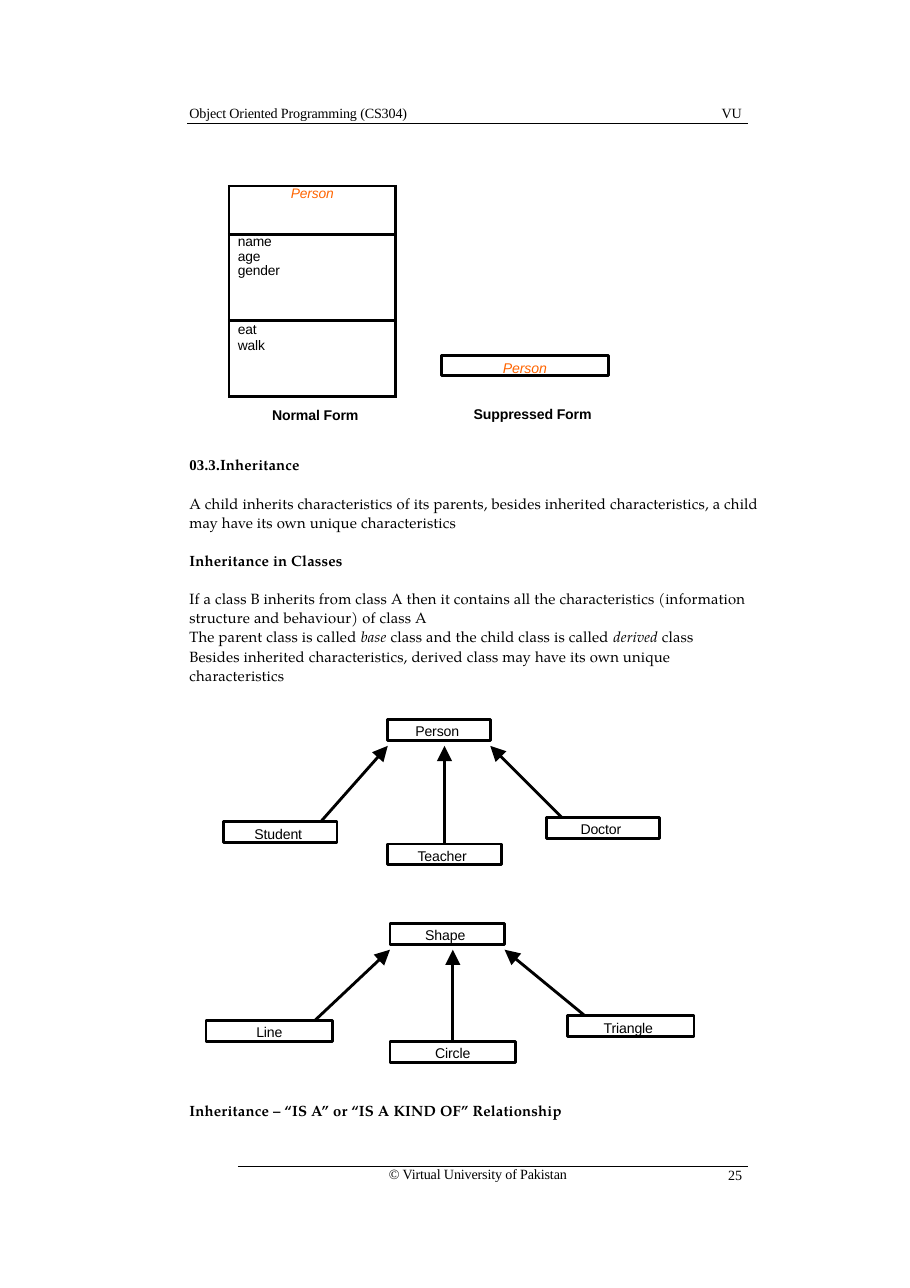
"""Build a handout page on class notation and inheritance."""
from lxml import etree
from pptx import Presentation
from pptx.dml.color import RGBColor
from pptx.enum.shapes import MSO_CONNECTOR, MSO_SHAPE
from pptx.enum.text import MSO_ANCHOR, PP_ALIGN
from pptx.oxml.ns import qn
from pptx.util import Inches, Pt

BLACK = RGBColor(0x00, 0x00, 0x00)
ORANGE = RGBColor(0xFF, 0x65, 0x00)
SERIF, BODY, SANS = "Times New Roman", "TeX Gyre Pagella", "Arial"
BORDER = Pt(1.88)
TEXT_INDENT = 0.01
TIP_GAP = 0.05

LABELS = [
    ("Object Oriented Programming (CS304)", 1.71, 0.95, 2.03, SERIF, False),
    ("VU", 6.54, 0.95, 0.21, SERIF, False),
    ("© Virtual University of Pakistan", 3.52, 10.58, 1.68, SERIF, False),
    ("25", 6.6, 10.59, 0.16, SERIF, False),
    ("Normal Form", 2.46, 3.69, 0.82, SANS, True),
    ("Suppressed Form", 4.29, 3.68, 1.11, SANS, True),
]
RULES = [(1.7, 6.79, 1.12), (2.16, 6.79, 10.59)]

BOLD, ITALIC = {"bold": True}, {"italic": True}
SECTION = [
    (0, None, [("03.3.", {"bold": True, "name": SERIF}), ("Inheritance", BOLD)]),
    (13, 1.07, [("A child inherits characteristics of its parents, besides inherited "
                 "characteristics, a child\vmay have its own unique characteristics", {})]),
    (13.2, None, [("Inheritance in Classes", BOLD)]),
    (12.4, 1.07, [("If a class B inherits from class A then it contains all the characteristics "
                   "(information\vstructure and behaviour) of class A", {})]),
    (0.8, None, [("The parent class is called ", {}), ("base ", ITALIC),
                 ("class and the child class is called ", {}), ("derived ", ITALIC),
                 ("class", {})]),
    (0.1, 1.07, [("Besides inherited characteristics, derived class may have its own "
                  "unique\vcharacteristics", {})]),
]
CLOSING = [(0, None, [("Inheritance – “IS A” or “IS A KIND OF” Relationship", BOLD)])]

CLASS_ROWS = [
    (0.44, ["Person"], None),
    (0.78, ["name", "age", "gender"], 0.95),
    (0.69, ["eat", "walk"], Pt(10.7)),
]
HIERARCHIES = [
    {"parent": ("Person", 3.52, 6.53, 0.93, 0.25),
     "left": ("Student", 2.03, 7.46, 1.03, 0.28), "left_start": 2.91,
     "middle": ("Teacher", 3.52, 7.66, 1.03, 0.27),
     "right": ("Doctor", 4.96, 7.42, 1.03, 0.31), "right_start": 5.1},
    {"parent": ("Shape", 3.54, 8.38, 1.04, 0.32),
     "left": ("Line", 1.87, 9.26, 1.15, None), "left_start": 2.86,
     "middle": ("Circle", 3.54, 9.45, 1.14, None),
     "right": ("Triangle", 5.15, 9.22, 1.15, 0.33), "right_start": 5.31},
]


def style_run(run, size, name, color=BLACK, bold=False, italic=False, spacing=-0.1):
    font = run.font
    font.size, font.name, font.bold, font.italic = Pt(size), name, bold, italic
    font.color.rgb = color
    run._r.get_or_add_rPr().set("spc", str(round(spacing * 100)))


def indent(paragraph, inches):
    paragraph._p.get_or_add_pPr().set("marL", str(Inches(inches)))


def add_text_frame(slide, left, top, width, height):
    frame = slide.shapes.add_textbox(*map(Inches, (left, top, width, height))).text_frame
    frame.margin_left = frame.margin_right = frame.margin_top = frame.margin_bottom = 0
    frame.word_wrap = True
    return frame


def add_label(slide, text, left, top, width, name, bold):
    frame = add_text_frame(slide, left, top, width, 0.16)
    frame.text = text
    paragraph = frame.paragraphs[0]
    indent(paragraph, TEXT_INDENT)
    style_run(paragraph.runs[0], 9.2, name, bold=bold)


def add_prose(slide, paragraphs, left, top, width, height):
    frame = add_text_frame(slide, left, top, width, height)
    for index, (space, line_spacing, pieces) in enumerate(paragraphs):
        paragraph = frame.add_paragraph() if index else frame.paragraphs[0]
        indent(paragraph, TEXT_INDENT)
        if space:
            paragraph.space_before = Pt(space)
        paragraph.line_spacing = line_spacing
        for text, style in pieces:
            for number, line in enumerate(text.split("\v")):
                if number:
                    paragraph.add_line_break()
                run = paragraph.add_run()
                run.text = line
                style_run(run, 9.7, **{"name": BODY, "spacing": 0.1, **style})


def add_line(slide, start, end, width):
    line = slide.shapes.add_connector(MSO_CONNECTOR.STRAIGHT, *map(Inches, start + end))
    line.line.color.rgb, line.line.width = BLACK, width
    etree.SubElement(line._element.spPr, qn("a:effectLst"))
    return line


def add_arrow(slide, start, end):
    arrow = add_line(slide, start, end, BORDER)
    etree.SubElement(arrow.line._get_or_add_ln(), qn("a:tailEnd"),
                     type="triangle", w="lg", len="lg")
    return arrow


def add_class_box(slide, text, left, top, width, text_indent, height=0.19,
                  color=BLACK, italic=False):
    box = slide.shapes.add_shape(MSO_SHAPE.RECTANGLE, *map(Inches, (left, top, width, height)))
    box.shadow.inherit = False
    box.fill.background()
    box.line.color.rgb, box.line.width = BLACK, BORDER
    frame = box.text_frame
    frame.margin_left = frame.margin_right = frame.margin_bottom = 0
    frame.margin_top = Inches(0.03)
    frame.vertical_anchor = MSO_ANCHOR.TOP
    frame.text = text
    paragraph = frame.paragraphs[0]
    if text_indent is None:
        paragraph.alignment = PP_ALIGN.CENTER
    else:
        paragraph.alignment = PP_ALIGN.LEFT
        indent(paragraph, text_indent)
    style_run(paragraph.runs[0], 9.2, SANS, color, italic=italic)
    return box


def add_borders(cell):
    properties = cell._tc.get_or_add_tcPr()
    for index, side in enumerate(("lnL", "lnR", "lnT", "lnB")):
        border = etree.Element(qn(f"a:{side}"), w=str(BORDER))
        fill = etree.SubElement(border, qn("a:solidFill"))
        etree.SubElement(fill, qn("a:srgbClr"), val=str(BLACK))
        properties.insert(index, border)


def add_class_table(slide, left, top, width):
    height = sum(row[0] for row in CLASS_ROWS)
    table = slide.shapes.add_table(len(CLASS_ROWS), 1,
                                   *map(Inches, (left, top, width, height))).table
    table.first_row = table.horz_banding = False
    for index, (row_height, lines, line_spacing) in enumerate(CLASS_ROWS):
        table.rows[index].height = Inches(row_height)
        cell = table.cell(index, 0)
        cell.margin_left = cell.margin_right = cell.margin_top = cell.margin_bottom = 0
        cell.fill.background()
        add_borders(cell)
        cell.text_frame.text = "\n".join(lines)
        title = index == 0
        for paragraph in cell.text_frame.paragraphs:
            if title:
                paragraph.alignment = PP_ALIGN.CENTER
            else:
                indent(paragraph, 0.08)
            paragraph.line_spacing = line_spacing
            style_run(paragraph.runs[0], 9, SANS, ORANGE if title else BLACK, italic=title)


def add_hierarchy(slide, tree):
    _, left, top, width, _ = tree["parent"]
    tip_y = top + 0.19 + TIP_GAP
    add_class_box(slide, *tree["parent"])
    for side, tip_x in (("left", left), ("right", left + width)):
        add_class_box(slide, *tree[side])
        add_arrow(slide, (tree[f"{side}_start"], tree[side][2]), (tip_x, tip_y))
    _, left, top, width, _ = tree["middle"]
    center = left + width / 2
    child = add_class_box(slide, *tree["middle"])
    add_arrow(slide, (center, top), (center, tip_y)).begin_connect(child, 0)


def main():
    presentation = Presentation()
    presentation.slide_width, presentation.slide_height = Inches(8.26), Inches(11.69)
    slide = presentation.slides.add_slide(presentation.slide_layouts[6])
    for label in LABELS:
        add_label(slide, *label)
    for left, right, y in RULES:
        add_line(slide, (left, y), (right, y), Pt(0.66))
    add_prose(slide, SECTION, 1.71, 4.14, 5.3, 2.08)
    add_prose(slide, CLOSING, 1.71, 10, 3.46, 0.16)
    add_class_table(slide, 2.08, 1.69, 1.51)
    add_class_box(slide, "Person", 4.01, 3.23, 1.51, None, 0.18, ORANGE, True)
    for tree in HIERARCHIES:
        add_hierarchy(slide, tree)
    presentation.save("out.pptx")


if __name__ == "__main__":
    main()
